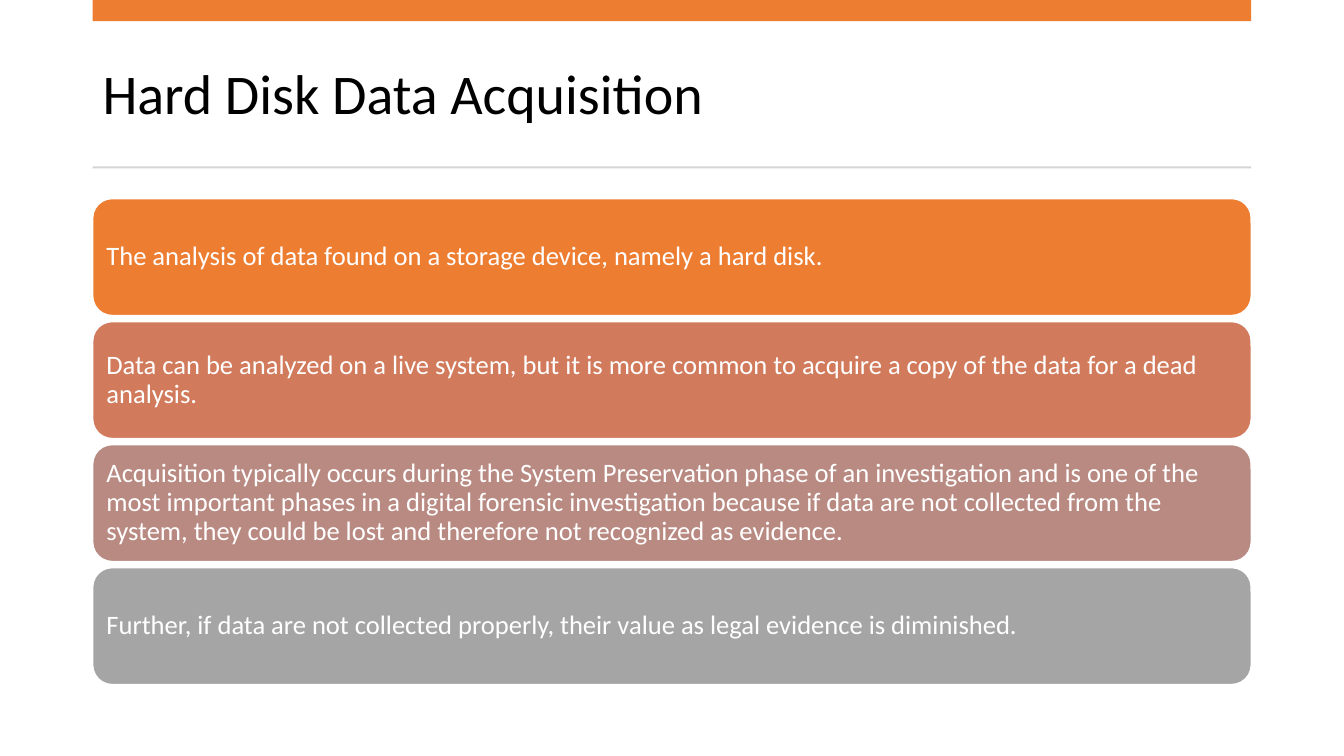
"""Builds the slide on hard disk data acquisition."""
from dataclasses import dataclass

from pptx import Presentation
from pptx.dml.color import RGBColor
from pptx.enum.shapes import MSO_SHAPE
from pptx.enum.text import MSO_ANCHOR, PP_ALIGN
from pptx.util import Inches, Pt

SLIDE_WIDTH, SLIDE_HEIGHT = Inches(13.33), Inches(7.5)
COLUMN, ROW = SLIDE_WIDTH / 100, SLIDE_HEIGHT / 100
LEFT, SPAN = 6.9, 86.2
CARD_TOP, CARD_ROWS, CARD_PITCH = 26.27, 15.47, 16.27

ORANGE = RGBColor(0xED, 0x7D, 0x31)
TERRACOTTA = RGBColor(0xD1, 0x7B, 0x5C)
ROSE = RGBColor(0xB9, 0x8A, 0x82)
GRAY = RGBColor(0xA5, 0xA5, 0xA5)
PALE_GRAY = RGBColor(0xD5, 0xD5, 0xD5)
WHITE = RGBColor(0xFF, 0xFF, 0xFF)
BLACK = RGBColor(0x00, 0x00, 0x00)


@dataclass(frozen=True)
class Band:
    top: float
    rows: float
    color: RGBColor


@dataclass(frozen=True)
class Card:
    statement: str
    color: RGBColor


BANDS = [Band(0, 2.8, ORANGE), Band(22, 0.27, PALE_GRAY)]
CARDS = [
    Card("The analysis of data found on a storage device, namely a hard disk.", ORANGE),
    Card("Data can be analyzed on a live system, but it is more common to acquire "
         "a copy of the data for a dead analysis.", TERRACOTTA),
    Card("Acquisition typically occurs during the System Preservation phase of an "
         "investigation and is one of the most important phases in a digital forensic "
         "investigation because if data are not collected from the system, they could "
         "be lost and therefore not recognized as evidence.", ROSE),
    Card("Further, if data are not collected properly, their value as legal evidence "
         "is diminished.", GRAY),
]


def place(top: float, rows: float) -> tuple[int, int, int, int]:
    """Returns the box of a full-width strip of the grid."""
    return (round(LEFT * COLUMN), round(top * ROW),
            round(SPAN * COLUMN), round(rows * ROW))


def write(holder, wording: str, size: float, color: RGBColor, inset: float) -> None:
    """Writes one left-aligned, vertically centred paragraph."""
    frame = holder.text_frame
    paragraph = frame.paragraphs[0]
    run = paragraph.add_run()
    run.text = wording
    run.font.color.rgb = color
    formats = {
        frame: {"word_wrap": True, "vertical_anchor": MSO_ANCHOR.MIDDLE,
                "margin_left": Inches(inset), "margin_right": Inches(inset)},
        paragraph: {"alignment": PP_ALIGN.LEFT, "line_spacing": 0.9},
        run.font: {"name": "Calibri", "size": Pt(size)},
    }
    for target, values in formats.items():
        for attribute, value in values.items():
            setattr(target, attribute, value)


def add_strip(slide, kind: MSO_SHAPE, top: float, rows: float, color: RGBColor):
    """Adds a filled full-width shape without line or shadow."""
    strip = slide.shapes.add_shape(kind, *place(top, rows))
    strip.shadow.inherit = False
    strip.fill.solid()
    strip.fill.fore_color.rgb = color
    strip.line.fill.background()
    return strip


def add_card(slide, card: Card, index: int) -> None:
    """Adds one rounded statement card in its place in the stack."""
    panel = add_strip(slide, MSO_SHAPE.ROUNDED_RECTANGLE,
                      CARD_TOP + index * CARD_PITCH, CARD_ROWS, card.color)
    panel.line.color.rgb = WHITE
    panel.line.width = Pt(1)
    write(panel, card.statement, 19, WHITE, 0.08)


def main() -> None:
    """Builds and saves the presentation."""
    deck = Presentation()
    deck.slide_width, deck.slide_height = SLIDE_WIDTH, SLIDE_HEIGHT
    slide = deck.slides.add_slide(deck.slide_layouts[6])
    heading = slide.shapes.add_textbox(*place(4.93, 15.73))
    write(heading, "Hard Disk Data Acquisition", 40, BLACK, 0.1)
    for band in BANDS:
        add_strip(slide, MSO_SHAPE.RECTANGLE, band.top, band.rows, band.color)
    for index, card in enumerate(CARDS):
        add_card(slide, card, index)
    deck.save("out.pptx")


if __name__ == "__main__":
    main()
